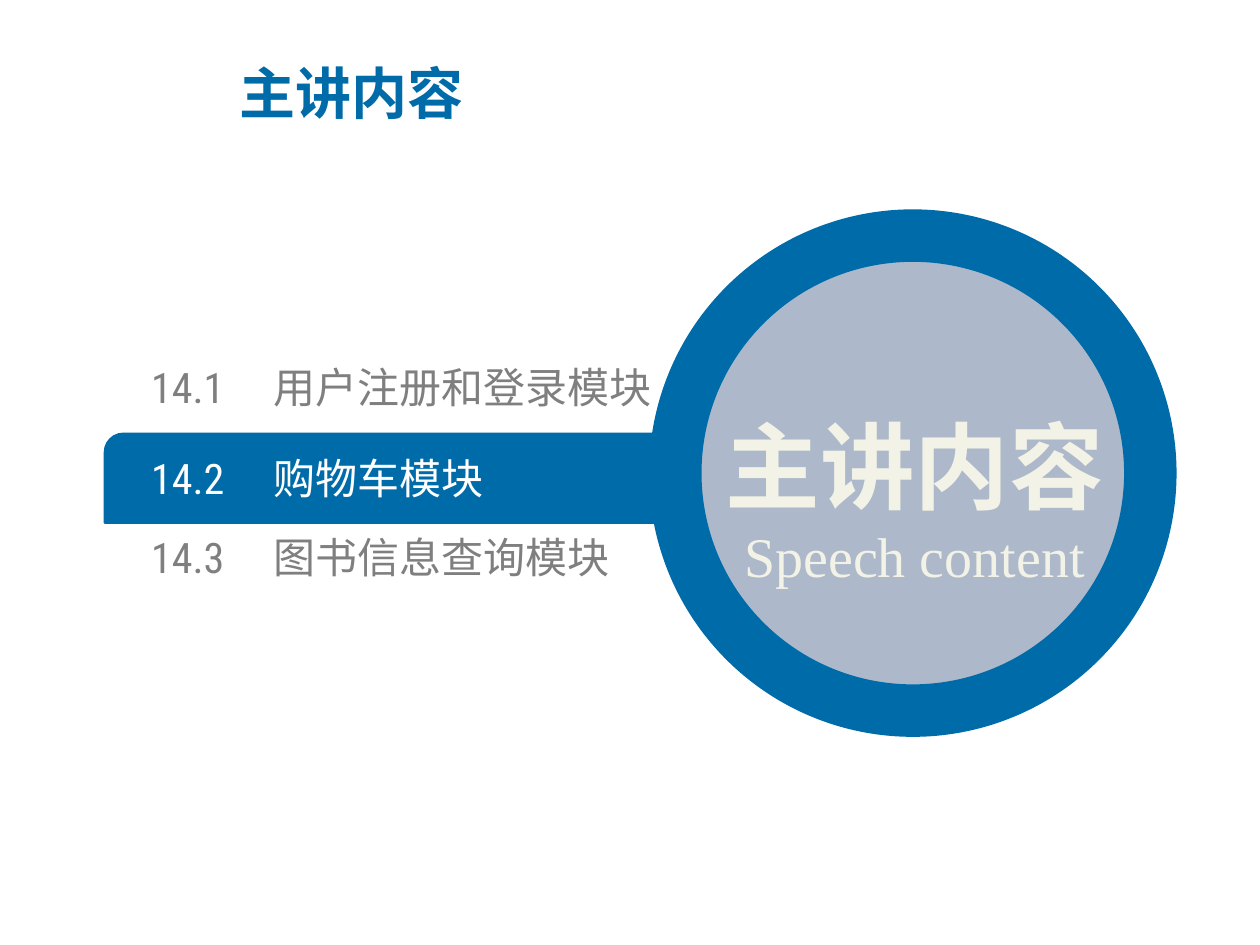
from lxml.etree import SubElement
from pptx import Presentation
from pptx.dml.color import RGBColor
from pptx.enum.shapes import MSO_SHAPE
from pptx.enum.text import MSO_ANCHOR, PP_ALIGN
from pptx.oxml.ns import qn
from pptx.util import Inches, Pt

BLUE = RGBColor(0x00, 0x6B, 0xA9)
GREY_BLUE = RGBColor(0xAD, 0xB9, 0xCA)
GREY = RGBColor(0x7F, 0x7F, 0x7F)
WHITE = RGBColor(0xFF, 0xFF, 0xFF)
CREAM = RGBColor(0xF2, 0xF2, 0xE6)

CJK_FONT = "Noto Sans CJK SC"
NUMBER_FONT = "Roboto Condensed"
ENGLISH_FONT = "Times New Roman"

COLUMNS, ROWS = 100, 75
CELL = Inches(0.1)
ENTRY_LEFT, ENTRY_WIDTH, ENTRY_HEIGHT = 12, 41.9, 4
NAME_OFFSET = 9.7


def grid(*cells):
    """Turn counts of grid cells into lengths."""
    return [round(count * CELL) for count in cells]


def write(paragraph, text, *, size, color, font=CJK_FONT, bold=False,
          align=PP_ALIGN.LEFT, line_spacing=None):
    paragraph.alignment = align
    if line_spacing:
        paragraph.line_spacing = line_spacing
    run = paragraph.add_run()
    run.text = text
    run.font.name = font
    run.font.size = Pt(size)
    run.font.bold = bold
    run.font.color.rgb = color
    SubElement(run.font._element, qn("a:ea"), typeface=CJK_FONT)


def set_tab_stop(paragraph, cells):
    properties = paragraph._p.get_or_add_pPr()
    stops = SubElement(properties, qn("a:tabLst"))
    SubElement(stops, qn("a:tab"), pos=str(grid(cells)[0]), algn="l")


def add_text_frame(slide, left, top, width, height):
    frame = slide.shapes.add_textbox(*grid(left, top, width, height)).text_frame
    frame.word_wrap = True
    frame.vertical_anchor = MSO_ANCHOR.MIDDLE
    return frame


def add_filled_shape(slide, preset, bounds, fill, line_width):
    shape = slide.shapes.add_shape(preset, *grid(*bounds))
    shape.shadow.inherit = False
    shape.fill.solid()
    shape.fill.fore_color.rgb = fill
    shape.line.color.rgb = BLUE
    shape.line.width = Pt(line_width)
    return shape


def add_entry(slide, top, number, name, color):
    """Add one agenda line: section number, tab, section name."""
    frame = add_text_frame(slide, ENTRY_LEFT, top, ENTRY_WIDTH, ENTRY_HEIGHT)
    frame.margin_left = frame.margin_right = 0
    frame.margin_top = frame.margin_bottom = 0
    entry = frame.paragraphs[0]
    write(entry, f"{number}\t{name}", size=24, color=color, font=NUMBER_FONT)
    set_tab_stop(entry, NAME_OFFSET)


def set_title(slide, text):
    title = slide.shapes.title
    title.left, title.top, title.width, title.height = grid(18, 4.3, 54.1, 6.1)
    title.text_frame.vertical_anchor = MSO_ANCHOR.MIDDLE
    write(title.text_frame.paragraphs[0], text, size=32, color=BLUE, bold=True)


def add_emblem(slide, chinese, english):
    add_filled_shape(slide, MSO_SHAPE.OVAL, (53.6, 18.7, 37.7, 37.7),
                     GREY_BLUE, 30)
    frame = add_text_frame(slide, 53.1, 27.3, 39, 20)
    write(frame.paragraphs[0], chinese, size=54, color=CREAM, bold=True,
          align=PP_ALIGN.CENTER, line_spacing=1.5)
    write(frame.add_paragraph(), english, size=32, color=CREAM,
          font=ENGLISH_FONT, align=PP_ALIGN.CENTER)


def main():
    presentation = Presentation()
    presentation.slide_width, presentation.slide_height = grid(COLUMNS, ROWS)
    slide = presentation.slides.add_slide(presentation.slide_layouts[5])

    set_title(slide, "主讲内容")
    highlight = add_filled_shape(slide, MSO_SHAPE.ROUND_2_DIAG_RECTANGLE,
                                 (8.3, 34.4, 53.5, 7.1), BLUE, 1)
    highlight.adjustments[0] = 0.21
    highlight.adjustments[1] = 0
    add_emblem(slide, "主讲内容", "Speech content")
    for top, number, name, color in (
        (28.7, "14.1", "用户注册和登录模块", GREY),
        (35.9, "14.2", "购物车模块", WHITE),
        (42.2, "14.3", "图书信息查询模块", GREY),
    ):
        add_entry(slide, top, number, name, color)

    presentation.save("out.pptx")


if __name__ == "__main__":
    main()
